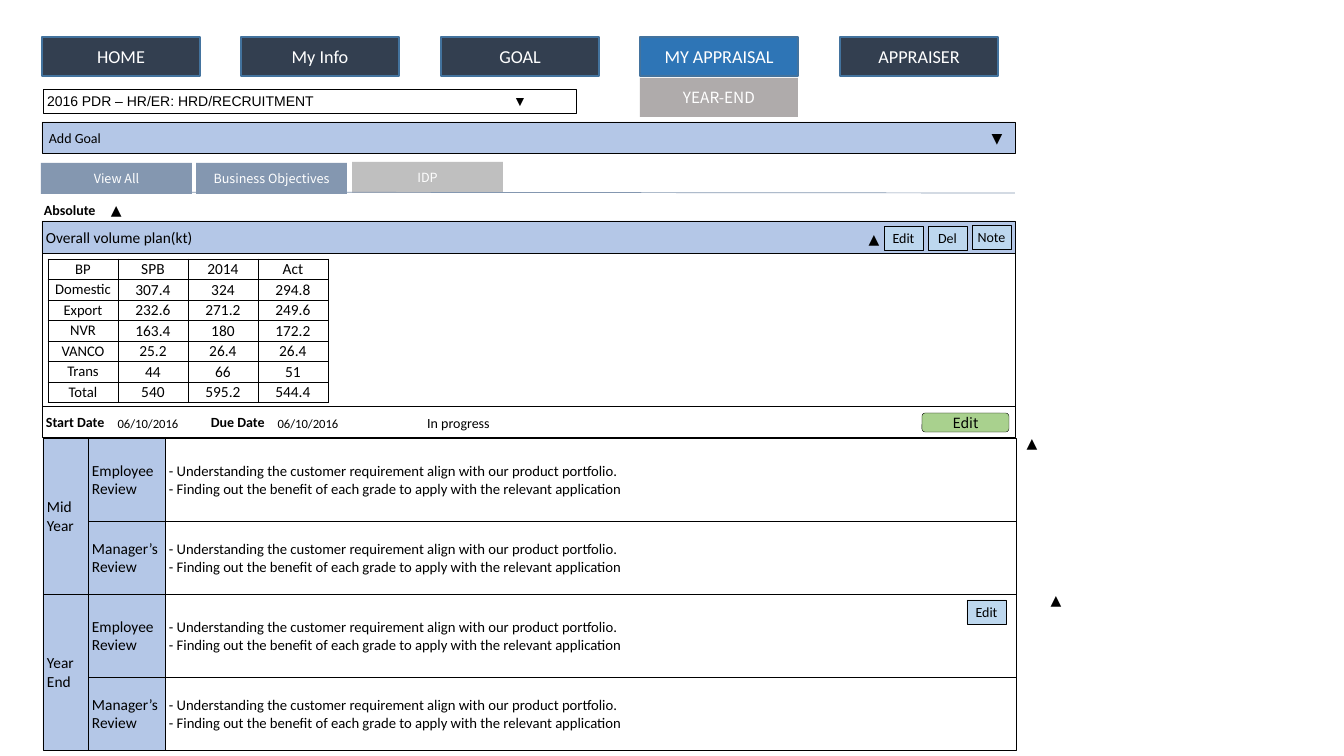
from lxml import etree
from pptx import Presentation
from pptx.dml.color import RGBColor
from pptx.enum.shapes import MSO_CONNECTOR, MSO_SHAPE
from pptx.enum.text import MSO_ANCHOR, PP_ALIGN
from pptx.oxml.ns import qn
from pptx.util import Emu, Pt

EMU_PER_PX = 914400 / 100.8
RECTANGLE, ROUNDED = MSO_SHAPE.RECTANGLE, MSO_SHAPE.ROUNDED_RECTANGLE
LEFT, CENTER = PP_ALIGN.LEFT, PP_ALIGN.CENTER
MIDDLE = MSO_ANCHOR.MIDDLE
STRAIGHT = MSO_CONNECTOR.STRAIGHT

BLACK = RGBColor(0x00, 0x00, 0x00)
WHITE = RGBColor(0xFF, 0xFF, 0xFF)
NAVY = RGBColor(0x33, 0x3F, 0x50)
NAV_LINE = RGBColor(0x43, 0x73, 0x9E)
ACTIVE_BLUE = RGBColor(0x2E, 0x75, 0xB6)
MENU_GRAY = RGBColor(0xAF, 0xAB, 0xAB)
PANEL_BLUE = RGBColor(0xB4, 0xC7, 0xE7)
BUTTON_BLUE = RGBColor(0xBD, 0xD7, 0xEE)
BUTTON_GREEN = RGBColor(0xA9, 0xD1, 0x8E)
TAB_BLUE = RGBColor(0x84, 0x97, 0xB0)
TAB_GRAY = RGBColor(0xBF, 0xBF, 0xBF)

BODY_FONT, KOREAN_FONT = "Calibri", "Noto Sans CJK KR"
NAV_ITEMS = ["HOME", "My Info", "GOAL", "MY APPRAISAL", "APPRAISER"]
VOLUME_ROWS = [
    ["BP", "SPB", "2014", "Act"],
    ["Domestic", "307.4", "324", "294.8"],
    ["Export", "232.6", "271.2", "249.6"],
    ["NVR", "163.4", "180", "172.2"],
    ["VANCO", "25.2", "26.4", "26.4"],
    ["Trans", "44", "66", "51"],
    ["Total", "540", "595.2", "544.4"],
]
REVIEW_LINES = [
    "- Understanding the customer requirement align with our product portfolio.",
    "- Finding out the benefit of each grade to apply with the relevant application",
]


def px(value):
    return Emu(round(value * EMU_PER_PX))


def style_run(run, size, color=BLACK, font=BODY_FONT, bold=False):
    values = {"name": font, "size": Pt(size), "bold": bold}
    for name, value in values.items():
        setattr(run.font, name, value)
    run.font.color.rgb = color


def add_tab_stop(paragraph, position):
    properties = paragraph._p.get_or_add_pPr()
    tabs = etree.SubElement(properties, qn("a:tabLst"))
    etree.SubElement(tabs, qn("a:tab"), pos=str(px(position)), algn="l")


def write_text(shape, lines, align=CENTER, inset=4, tab=None, **run_format):
    """Fill a shape with one paragraph per line; tab is a stop in px."""
    frame = shape.text_frame
    values = {"word_wrap": True, "vertical_anchor": MIDDLE,
              "margin_left": px(inset), "margin_right": px(inset),
              "margin_top": 0, "margin_bottom": 0}
    for name, value in values.items():
        setattr(frame, name, value)
    for index, line in enumerate(lines):
        paragraph = frame.add_paragraph() if index else frame.paragraphs[0]
        paragraph.alignment = align
        if tab:
            add_tab_stop(paragraph, tab)
        paragraph.text = line
        for run in paragraph.runs:
            style_run(run, **run_format)


def add_box(slide, box, lines=(), fill=None, line=BLACK, line_width=0.25,
            kind=RECTANGLE, **text_format):
    shape = slide.shapes.add_shape(kind, *map(px, box))
    shape.shadow.inherit = False
    if fill is None:
        shape.fill.background()
    else:
        shape.fill.solid()
        shape.fill.fore_color.rgb = fill
    if line is None:
        shape.line.fill.background()
    else:
        shape.line.color.rgb = line
        shape.line.width = Pt(line_width)
    if lines:
        write_text(shape, lines, **text_format)


def add_label(slide, box, text, **text_format):
    label = slide.shapes.add_textbox(*map(px, box))
    write_text(label, [text], **text_format)
    return label


def add_arrow_mark(slide, left, top, mark="▲"):
    add_label(slide, (left, top, 24, 27), mark, inset=0, size=10)


def add_button(slide, left, top, text):
    add_box(slide, (left, top, 39, 24), [text], BUTTON_BLUE, size=10)


def set_cell_borders(cell):
    properties = cell._tc.get_or_add_tcPr()
    for index, side in enumerate(("a:lnL", "a:lnR", "a:lnT", "a:lnB")):
        border = etree.Element(qn(side), w=str(Pt(0.5)))
        fill = etree.SubElement(border, qn("a:solidFill"))
        etree.SubElement(fill, qn("a:srgbClr"), val=str(BLACK))
        properties.insert(index, border)


def add_volume_table(slide, left, top, column_width, row_height):
    row_count, column_count = len(VOLUME_ROWS), len(VOLUME_ROWS[0])
    table = slide.shapes.add_table(
        row_count, column_count, px(left), px(top),
        px(column_width * column_count), px(row_height * row_count)).table
    table.first_row = table.horz_banding = False
    for column in table.columns:
        column.width = px(column_width)
    for row, texts in zip(table.rows, VOLUME_ROWS):
        row.height = px(row_height)
        for index, (cell, text) in enumerate(zip(row.cells, texts)):
            cell.fill.background()
            set_cell_borders(cell)
            cell.vertical_anchor = MIDDLE
            for side in ("left", "right", "top", "bottom"):
                setattr(cell, f"margin_{side}", px(1))
            paragraph = cell.text_frame.paragraphs[0]
            paragraph.alignment = CENTER
            paragraph.text = text
            style_run(paragraph.runs[0], 11 if index else 10.5)


def add_review(slide, top, period):
    """Draw one review period with its employee and manager rows."""
    rows = [("Employee\nReview", 0, 83), ("Manager’s\nReview", 83, 73)]
    for reviewer, offset, height in rows:
        add_box(slide, (165, top + offset, 851, height), REVIEW_LINES,
                align=LEFT, size=10.5)
        add_box(slide, (88, top + offset, 77, height), [reviewer], PANEL_BLUE,
                align=LEFT, size=11)
    add_box(slide, (43, top, 45, 156), [period], PANEL_BLUE, align=LEFT, size=11)


def add_navigation(slide):
    for index, name in enumerate(NAV_ITEMS):
        fill = ACTIVE_BLUE if name == "MY APPRAISAL" else NAVY
        add_box(slide, (42 + index * 399 // 2, 37, 158, 39), [name], fill,
                NAV_LINE, 1, size=13, color=WHITE)
    add_box(slide, (640, 78, 158, 39), ["YEAR-END"], MENU_GRAY, None,
            size=11, color=WHITE, font=KOREAN_FONT)


def add_goal_bars(slide):
    add_box(slide, (42, 122, 973, 31), ["Add Goal"], PANEL_BLUE,
            align=LEFT, inset=7, size=10)
    add_box(slide, (43, 89, 533, 24), ["2016 PDR – HR/ER: HRD/RECRUITMENT\t▼"],
            align=LEFT, tab=466, size=10, font="Arial")
    add_arrow_mark(slide, 985, 124, "▼")


def add_volume_panel(slide):
    add_box(slide, (42, 251, 973, 155))
    add_box(slide, (42, 221, 973, 32), ["Overall volume plan(kt)"], PANEL_BLUE,
            align=LEFT, size=11)
    add_box(slide, (42, 406, 973, 31), ["Start Date\tDue Date"],
            align=LEFT, tab=165, size=10, bold=True)
    heading = add_label(slide, (42, 199, 167, 21), "Absolute\t", align=LEFT,
                        inset=2, tab=67, size=10, bold=True)
    style_run(heading.text_frame.paragraphs[0].add_run(), 10)
    heading.text_frame.paragraphs[0].runs[-1].text = "▲"
    add_volume_table(slide, 48, 259, 70, 20)
    for left, top, text in [(972, 225, "Note"), (884, 226, "Edit"), (928, 226, "Del")]:
        add_button(slide, left, top, text)
    add_box(slide, (922, 413, 87, 19), ["Edit"], BUTTON_GREEN, kind=ROUNDED,
            inset=2, size=10, font=KOREAN_FONT)
    for left in (110, 270):
        add_label(slide, (left, 415, 76, 16), "06/10/2016", size=9)
    add_box(slide, (410, 415, 97, 16), ["In progress"], WHITE, None, size=10)
    add_arrow_mark(slide, 862, 225)


def add_tabs(slide):
    tabs = [("View All", 41, 163, TAB_BLUE),
            ("Business Objectives", 196, 163, TAB_BLUE),
            ("IDP", 352, 162, TAB_GRAY)]
    for name, left, top, fill in tabs:
        add_box(slide, (left, top, 151, 31), [name], fill, None,
                size=9, color=WHITE, font=KOREAN_FONT)
    rule = slide.shapes.add_connector(STRAIGHT, px(42), px(192), px(1015), px(193))
    rule.line.color.rgb = TAB_BLUE
    rule.line.width = Pt(0.5)
    etree.SubElement(rule._element.spPr, qn("a:effectLst"))


def main():
    presentation = Presentation()
    presentation.slide_width, presentation.slide_height = px(1344), px(756)
    slide = presentation.slides.add_slide(presentation.slide_layouts[6])
    add_navigation(slide)
    add_goal_bars(slide)
    add_volume_panel(slide)
    add_tabs(slide)
    for top, period in [(438, "Mid\nYear"), (594, "Year\nEnd")]:
        add_review(slide, top, period)
    add_button(slide, 967, 600, "Edit")
    for left, top in [(1020, 429), (1044, 586)]:
        add_arrow_mark(slide, left, top)
    presentation.save("out.pptx")


if __name__ == "__main__":
    main()
